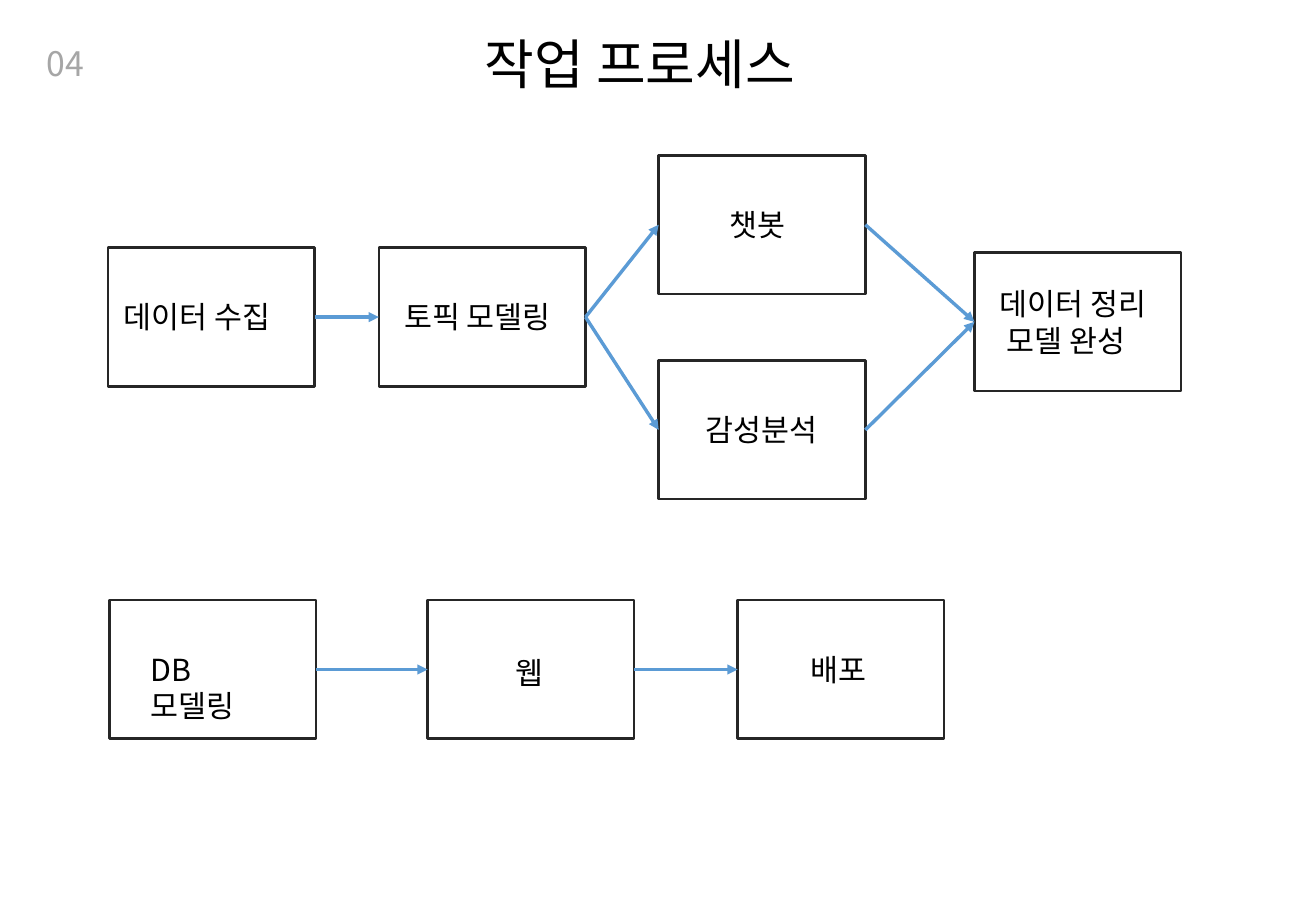
from dataclasses import dataclass

from lxml.etree import SubElement
from pptx import Presentation
from pptx.dml.color import RGBColor
from pptx.enum.shapes import MSO_CONNECTOR, MSO_SHAPE
from pptx.enum.text import MSO_AUTO_SIZE, PP_ALIGN
from pptx.oxml.ns import qn
from pptx.util import Cm, Pt


@dataclass(frozen=True)
class Theme:
    font: str = "Noto Sans CJK KR"
    ink: RGBColor = RGBColor(0x00, 0x00, 0x00)
    muted: RGBColor = RGBColor(0xA6, 0xA6, 0xA6)
    border: RGBColor = RGBColor(0x26, 0x26, 0x26)
    arrow: RGBColor = RGBColor(0x5B, 0x9B, 0xD5)
    title_size: Pt = Pt(32)
    number_size: Pt = Pt(20)
    step_size: Pt = Pt(18)
    border_width: Pt = Pt(1.5)
    arrow_width: Pt = Pt(2)


@dataclass(frozen=True)
class Step:
    left: float
    top: float
    lines: tuple
    inset: float
    label_width: float
    drop: float = 0.94
    label_height: float = 1.02


THEME = Theme()
STEP_WIDTH, STEP_HEIGHT = Cm(4.32), Cm(2.9)
MAIN_ROW, WEB_ROW = 5.18, 12.55
BRANCH_LEFT = 13.77
RIGHT_SIDE, LEFT_SIDE = 3, 1

STEPS = {
    "collect": Step(2.26, MAIN_ROW, ("데이터 수집",), 0.08, 4.04),
    "topics": Step(7.92, MAIN_ROW, ("토픽 모델링",), 0.28, 4.04),
    "chatbot": Step(BRANCH_LEFT, 3.25, ("챗봇",), 1.24, 1.8),
    "sentiment": Step(BRANCH_LEFT, 7.54, ("감성분석",), 0.73, 3.07),
    "database": Step(2.29, WEB_ROW, ("DB\v모델링",), 0.61, 3.07),
    "web": Step(8.94, WEB_ROW, ("웹",), 1.58, 1.14, 1.01),
    "deploy": Step(15.42, WEB_ROW, ("배포",), 1.27, 1.8),
    "finish": Step(20.37, 5.28, ("데이터 정리", " 모델 완성"),
                   0.28, 4.04, 0.56, 1.8),
}

FLOWS = (
    ("collect", "topics"),
    ("topics", "chatbot"),
    ("topics", "sentiment"),
    ("database", "web"),
    ("web", "deploy"),
    ("chatbot", "finish"),
    ("sentiment", "finish"),
)


def add_run(paragraph, text, size, color):
    run = paragraph.add_run()
    run.text = text
    run.font.size = size
    run.font.color.rgb = color
    run.font.name = THEME.font
    east_asian = SubElement(run.font._element, qn("a:ea"))
    east_asian.set("typeface", THEME.font)


def add_label(shapes, place, lines, size, color, align=PP_ALIGN.LEFT):
    label = shapes.add_textbox(*(Cm(length) for length in place))
    frame = label.text_frame
    frame.word_wrap = False
    frame.auto_size = MSO_AUTO_SIZE.SHAPE_TO_FIT_TEXT
    for index, line in enumerate(lines):
        paragraph = frame.add_paragraph() if index else frame.paragraphs[0]
        paragraph.alignment = align
        for part_index, part in enumerate(line.split("\v")):
            if part_index:
                paragraph.add_line_break()
            add_run(paragraph, part, size, color)


def add_step(slide, step):
    group = slide.shapes.add_group_shape()
    box = group.shapes.add_shape(MSO_SHAPE.RECTANGLE, Cm(step.left),
                                 Cm(step.top), STEP_WIDTH, STEP_HEIGHT)
    box.shadow.inherit = False
    box.fill.background()
    box.line.color.rgb = THEME.border
    box.line.width = THEME.border_width
    place = (step.left + step.inset, step.top + step.drop,
             step.label_width, step.label_height)
    add_label(group.shapes, place, step.lines, THEME.step_size, THEME.ink)
    return box


def add_flow(slide, source, target):
    arrow = slide.shapes.add_connector(MSO_CONNECTOR.STRAIGHT, 0, 0, 0, 0)
    arrow.begin_connect(source, RIGHT_SIDE)
    arrow.end_connect(target, LEFT_SIDE)
    arrow.line.color.rgb = THEME.arrow
    arrow.line.width = THEME.arrow_width
    SubElement(arrow.line._get_or_add_ln(), qn("a:tailEnd"), type="triangle")
    SubElement(arrow._element.spPr, qn("a:effectLst"))


def main():
    deck = Presentation()
    deck.slide_width, deck.slide_height = Cm(27.51), Cm(19.05)
    slide = deck.slides.add_slide(deck.slide_layouts[6])

    add_label(slide.shapes, (0.71, 0.76, 1.3, 1.12), ("04",),
              THEME.number_size, THEME.muted, PP_ALIGN.CENTER)
    add_label(slide.shapes, (9.88, 0.51, 7.72, 1.63), ("작업 프로세스",),
              THEME.title_size, THEME.ink)

    boxes = {key: add_step(slide, step) for key, step in STEPS.items()}
    for source, target in FLOWS:
        add_flow(slide, boxes[source], boxes[target])

    deck.save("out.pptx")


if __name__ == "__main__":
    main()
